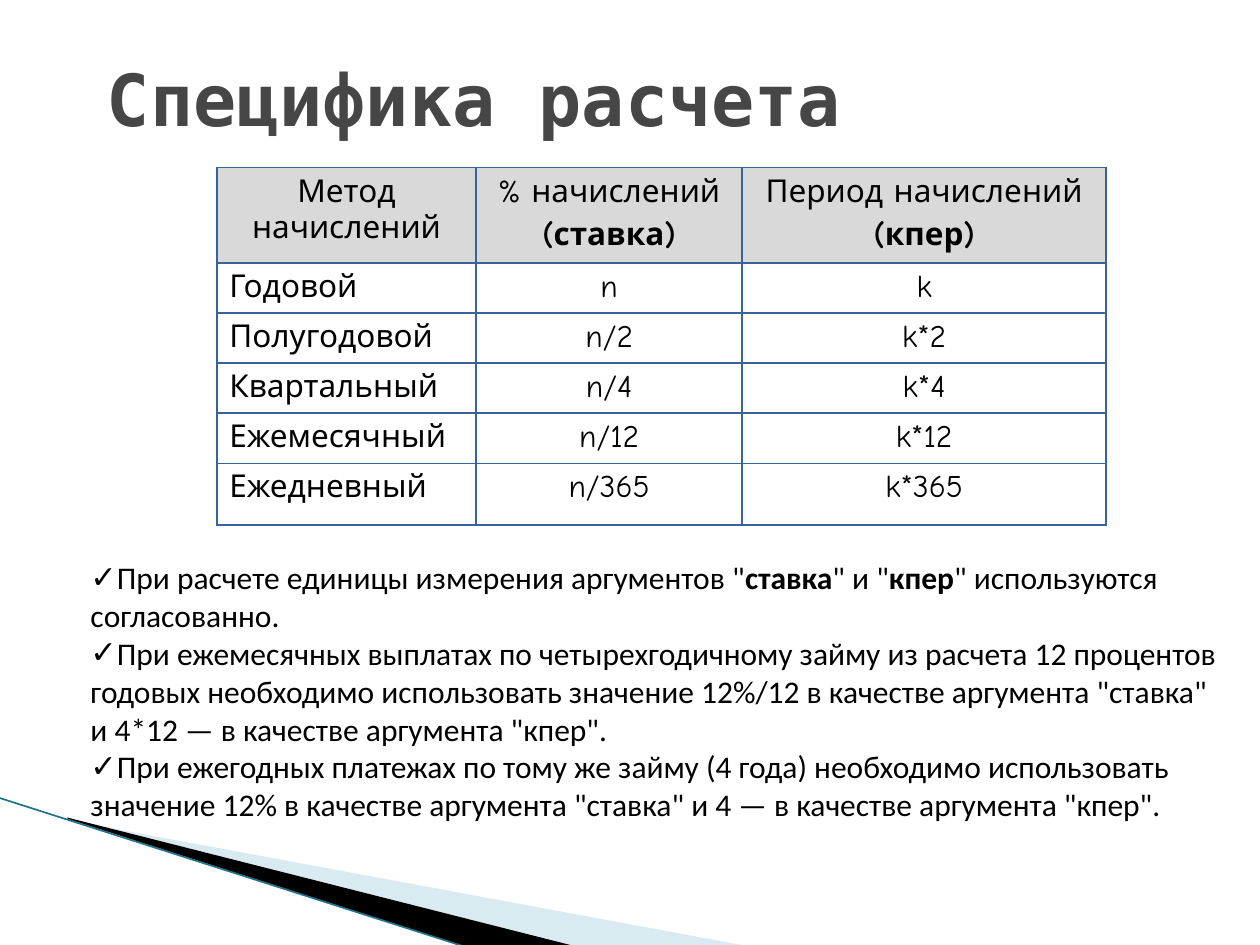
from lxml.etree import SubElement
from pptx import Presentation
from pptx.dml.color import RGBColor
from pptx.enum.text import MSO_ANCHOR, MSO_AUTO_SIZE, PP_ALIGN
from pptx.oxml import parse_xml
from pptx.oxml.ns import nsdecls, qn
from pptx.util import Cm, Pt

COLORS = {
    "title": "464646",
    "text": "000000",
    "header": "D9D9D9",
    "cell": "FFFFFF",
    "border": "39639D",
    "pale": "A0CBDC",
    "dark": "000000",
    "edge": "1F7388",
}

HEADER = ["Метод начислений", "% начислений\n|(ставка)|", "Период начислений\n|(кпер)|"]
METHODS = [("Годовой", ""), ("Полугодовой", 2), ("Квартальный", 4),
           ("Ежемесячный", 12), ("Ежедневный", 365)]
NOTES = [
    'При расчете единицы измерения аргументов "|ставка|" и "|кпер|" используются согласованно.',
    "При ежемесячных выплатах по четырехгодичному займу из расчета 12 процентов годовых "
    'необходимо использовать значение 12%/12 в качестве аргумента "ставка" '
    'и 4*12 — в качестве аргумента "кпер".',
    "При ежегодных платежах по тому же займу (4 года) необходимо использовать "
    'значение 12% в качестве аргумента "ставка" и 4 — в качестве аргумента "кпер".',
]


def color(name):
    return RGBColor.from_string(COLORS[name])


def place(shape, left, top, width, height):
    shape.left, shape.top = Cm(left), Cm(top)
    shape.width, shape.height = Cm(width), Cm(height)


class Page:
    def __init__(self, deck):
        self.slide = deck.slides.add_slide(deck.slide_layouts[1])
        self.shapes = self.slide.shapes

    def fill_para(self, para, text, font, size, ink="text", bold=False):
        """Fill a paragraph; text between bars is bold."""
        para.font.name, para.font.size = font, Pt(size)
        para.font.color.rgb = color(ink)
        para.font.bold = bold
        for index, part in enumerate(text.split("|")):
            if part:
                span = para.add_run()
                span.text = part
                if index % 2:
                    span.font.bold = True

    def wedge(self, points, fill, opacity=100):
        corners = [(Cm(x), Cm(y)) for x, y in points]
        builder = self.shapes.build_freeform(*corners[0], scale=1.0)
        builder.add_line_segments(corners[1:], close=True)
        shape = builder.convert_to_shape()
        shape.shadow.inherit = False
        shape.line.fill.background()
        shape.fill.solid()
        shape.fill.fore_color.rgb = color(fill)
        if opacity < 100:
            tint = shape._element.spPr.find(qn("a:solidFill"))[0]
            SubElement(tint, qn("a:alpha"), val=str(opacity * 1000))
        self.send_back(shape)

    def edge(self, start, end):
        line = self.shapes.add_connector(1, *map(Cm, start + end))
        line.line.color.rgb = color("edge")
        line.line.width = Pt(0.95)
        SubElement(line._element.spPr, qn("a:effectLst"))
        self.send_back(line)

    def send_back(self, shape):
        """Put a decoration behind the placeholders, above earlier decorations."""
        self.shapes.title._element.addprevious(shape._element)

    def title(self, text, *area):
        box = self.shapes.title
        place(box, *area)
        frame = box.text_frame
        frame.auto_size = MSO_AUTO_SIZE.NONE
        frame.vertical_anchor = MSO_ANCHOR.MIDDLE
        para = frame.paragraphs[0]
        para.alignment = PP_ALIGN.LEFT
        self.fill_para(para, text, "DejaVu Sans Mono", 41, "title", bold=True)

    def checklist(self, items, *area):
        box = self.slide.placeholders[1]
        place(box, *area)
        frame = box.text_frame
        frame.auto_size = MSO_AUTO_SIZE.NONE
        for index, item in enumerate(items):
            para = frame.add_paragraph() if index else frame.paragraphs[0]
            para.space_before = Pt(0)
            self.fill_para(para, item, "Calibri", 18)
            props = para._p.get_or_add_pPr()
            props.set("marL", "0")
            props.set("indent", "0")
            bullet = parse_xml(f'<a:buChar {nsdecls("a")} char="✓"/>')
            props.find(qn("a:defRPr")).addprevious(bullet)

    def table(self, rows, left, top, widths, heights):
        area = map(Cm, (left, top, sum(widths), sum(heights)))
        grid = self.shapes.add_table(len(rows), len(widths), *area).table
        grid.first_row = grid.horz_banding = False
        for column, width in zip(grid.columns, widths):
            column.width = Cm(width)
        for r, (row, height) in enumerate(zip(rows, heights)):
            grid.rows[r].height = Cm(height)
            for c, text in enumerate(row):
                self.cell(grid.cell(r, c), text, header=r == 0, centered=r == 0 or c > 0)

    def cell(self, cell, text, header, centered):
        cell.fill.solid()
        cell.fill.fore_color.rgb = color("header" if header else "cell")
        frame = cell.text_frame
        for index, line in enumerate(text.split("\n")):
            para = frame.add_paragraph() if index else frame.paragraphs[0]
            para.alignment = PP_ALIGN.CENTER if centered else PP_ALIGN.LEFT
            para.space_before = Pt(3.6)
            self.fill_para(para, line, "Comic Neue", 18)
        for index, side in enumerate("LRTB"):
            cell._tc.get_or_add_tcPr().insert(index, parse_xml(
                f'<a:ln{side} {nsdecls("a")} w="{Pt(1)}"><a:solidFill>'
                f'<a:srgbClr val="{COLORS["border"]}"/></a:solidFill></a:ln{side}>'))


def main():
    deck = Presentation()
    deck.slide_width, deck.slide_height = Cm(25.4), Cm(19.05)
    page = Page(deck)
    page.wedge([(1.4, 16.54), (15.11, 19.08), (11.58, 19.08), (1.4, 16.51)], "pale", 40)
    page.wedge([(1.35, 16.48), (11.61, 19.08), (9.45, 19.1), (1.37, 16.51)], "dark")
    page.edge((-0.03, 16.08), (9.42, 19.1))
    page.title("Специфика расчета", 1.9, 0.43, 19.08, 3.1)
    rates = [(name, f"n/{n}" if n else "n", f"k*{n}" if n else "k") for name, n in METHODS]
    page.table([HEADER] + rates, 4.37, 3.38,
               widths=[5.23, 5.36, 7.34], heights=[1.92] + [1.01] * 4 + [1.24])
    page.checklist(NOTES, 1.57, 11.13, 23.42, 5.64)
    deck.save("out.pptx")


if __name__ == "__main__":
    main()
